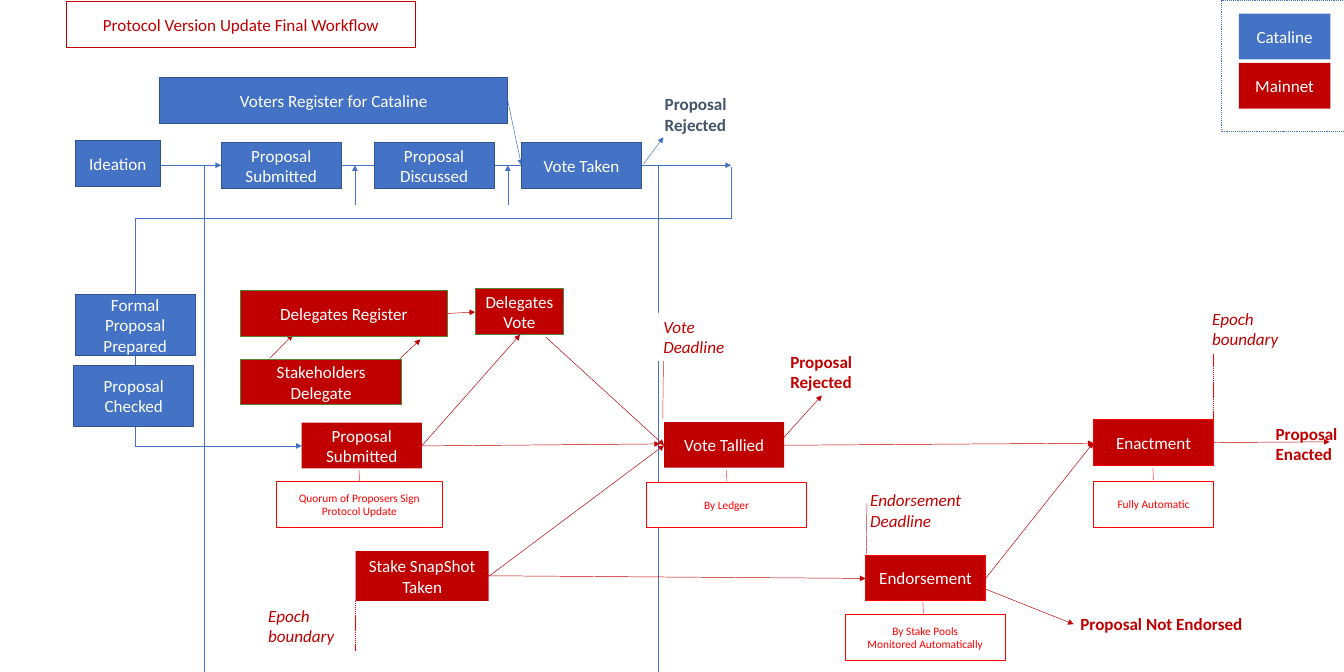
import lxml.etree
import pptx
import pptx.dml.color
import pptx.enum.dml
import pptx.enum.shapes
import pptx.enum.text
import pptx.oxml.ns
import pptx.util

Inches = pptx.util.Inches
Pt = pptx.util.Pt
RGBColor = pptx.dml.color.RGBColor
Align = pptx.enum.text.PP_ALIGN
Anchor = pptx.enum.text.MSO_ANCHOR
AutoSize = pptx.enum.text.MSO_AUTO_SIZE
Dash = pptx.enum.dml.MSO_LINE
RECTANGLE = pptx.enum.shapes.MSO_SHAPE.RECTANGLE
STRAIGHT = pptx.enum.shapes.MSO_CONNECTOR.STRAIGHT

BLUE = RGBColor(0x44, 0x72, 0xC4)
NAVY = RGBColor(0x32, 0x54, 0x91)
SLATE = RGBColor(0x44, 0x54, 0x6A)
DARK_RED = RGBColor(0xC0, 0x00, 0x00)
RED = RGBColor(0xFF, 0x00, 0x00)
GREEN = RGBColor(0x54, 0x82, 0x35)
WHITE = RGBColor(0xFF, 0xFF, 0xFF)

BOX_HEIGHT = 0.67
STEP_WIDTH = 1.76
LABEL_HEIGHT = 0.71

deck = pptx.Presentation()
deck.slide_width = Inches(19.69)
deck.slide_height = Inches(9.84)
page = deck.slides.add_slide(deck.slide_layouts[5])


def write(shape, text, color, size=18, align=Align.CENTER, anchor=Anchor.MIDDLE,
          bold=False, italic=False, wrap=True):
    frame = shape.text_frame
    frame.word_wrap = wrap
    frame.auto_size = AutoSize.NONE
    frame.vertical_anchor = anchor
    para = frame.paragraphs[0]
    para.alignment = align
    for index, line in enumerate(text.split("\n")):
        if index:
            para.add_line_break()
        span = para.add_run()
        span.text = line
        span.font.name = "Calibri"
        span.font.size = Pt(size)
        span.font.bold = bold
        span.font.italic = italic
        span.font.color.rgb = color


def connect(start, end, color, arrow=False, dash=None):
    link = page.shapes.add_connector(
        STRAIGHT, Inches(start[0]), Inches(start[1]), Inches(end[0]), Inches(end[1]))
    link.line.color.rgb = color
    link.line.width = Pt(0.5)
    if dash:
        link.line.dash_style = dash
    if arrow:
        tail = lxml.etree.SubElement(link.line._ln, pptx.oxml.ns.qn("a:tailEnd"))
        tail.set("type", "triangle")
    lxml.etree.SubElement(link._element.spPr, pptx.oxml.ns.qn("a:effectLst"))


title = page.shapes.title
title.left, title.top = Inches(0.98), Inches(0.02)
title.width, title.height = Inches(5.1), Inches(BOX_HEIGHT)
title.fill.solid()
title.fill.fore_color.rgb = WHITE
title.line.color.rgb = DARK_RED
title.line.width = Pt(1)
write(title, "Protocol Version Update Final Workflow", DARK_RED)

blue_arrows = [
    ((1.17, 2.42), (10.71, 2.42)),
    ((2.99, 2.42), (3.24, 2.42)),
    ((7.44, 1.48), (7.64, 2.42)),
    ((5.2, 3), (5.2, 2.42)),
    ((7.44, 3), (7.44, 2.42)),
    ((9.43, 2.4), (9.72, 2.01)),
    ((1.98, 6.53), (4.42, 6.53)),
]
for start, end in blue_arrows:
    connect(start, end, BLUE, arrow=True)

return_route = [(10.71, 2.44), (10.71, 3.2), (1.98, 3.2), (1.98, 6.53)]
for start, end in zip(return_route, return_route[1:]):
    connect(start, end, BLUE)
for phase_x in (2.99, 9.64):
    connect((phase_x, 2.42), (phase_x, 9.84), BLUE)

deadline_labels = [
    ("Vote Deadline", 9.62, 4.58, 1.37),
    ("Epoch boundary", 17.66, 4.46, 1.37),
    ("Epoch boundary", 3.83, 8.81, 1.37),
    ("Endorsement Deadline", 12.65, 7.12, 1.61),
]
for text, left, top, width in deadline_labels:
    label = page.shapes.add_shape(
        RECTANGLE, Inches(left), Inches(top), Inches(width), Inches(LABEL_HEIGHT))
    label.shadow.inherit = False
    label.fill.solid()
    label.fill.fore_color.rgb = WHITE
    label.line.fill.background()
    write(label, text, DARK_RED, align=Align.LEFT, anchor=Anchor.TOP, italic=True)

red_arrows = [
    ((6.17, 6.53), (9.67, 6.5)),
    ((11.48, 6.41), (12.04, 5.79)),
    ((11.48, 6.52), (16.02, 6.49)),
    ((17.78, 6.48), (19.48, 6.47)),
    ((14.44, 8.47), (16.02, 6.48)),
    ((7.16, 8.44), (9.73, 6.52)),
    ((3.95, 5.25), (4.29, 4.9)),
    ((5.82, 5.29), (6.16, 4.97)),
    ((8, 4.94), (9.73, 6.52)),
    ((6.56, 4.59), (6.96, 4.57)),
    ((6.17, 6.54), (7.62, 4.9)),
    ((14.02, 8.46), (15.73, 9.14)),
    ((7.03, 8.43), (12.68, 8.47)),
]
for start, end in red_arrows:
    connect(start, end, DARK_RED, arrow=True)

dashed_links = [
    ((5.26, 6.88), (5.27, 7.05), RED),
    ((10.64, 6.89), (10.65, 7.05), RED),
    ((16.89, 6.86), (16.9, 7.03), RED),
    ((13.52, 8.81), (13.53, 8.98), RED),
    ((17.77, 5.19), (17.77, 6.48), RED),
    ((5.21, 8.8), (5.21, 9.53), RED),
    ((9.72, 5.29), (9.71, 6.13), DARK_RED),
    ((12.7, 7.37), (12.69, 8.21), DARK_RED),
]
for start, end, color in dashed_links:
    connect(start, end, color, dash=Dash.SQUARE_DOT)

box_groups = [
    (BLUE, NAVY, WHITE, 18, [
        ("Voters Register for Cataline", 2.34, 1.14, 5.1, BOX_HEIGHT),
        ("Ideation", 1.1, 2.06, 1.25, BOX_HEIGHT),
        ("Proposal Submitted", 3.24, 2.09, STEP_WIDTH, BOX_HEIGHT),
        ("Proposal Discussed", 5.48, 2.09, STEP_WIDTH, BOX_HEIGHT),
        ("Vote Taken", 7.64, 2.09, STEP_WIDTH, BOX_HEIGHT),
        ("Formal\nProposal\nPrepared", 1.1, 4.31, STEP_WIDTH, 0.89),
        ("Proposal\nChecked", 1.08, 5.35, STEP_WIDTH, 0.89),
    ]),
    (BLUE, None, WHITE, 18, [("Cataline", 18.15, 0.2, 1.34, BOX_HEIGHT)]),
    (DARK_RED, None, WHITE, 18, [
        ("Mainnet", 18.15, 0.92, 1.34, BOX_HEIGHT),
        ("Proposal Submitted", 4.42, 6.19, STEP_WIDTH, BOX_HEIGHT),
        ("Vote Tallied", 9.73, 6.18, STEP_WIDTH, BOX_HEIGHT),
        ("Stake SnapShot\nTaken", 5.21, 8.07, 1.95, 0.73),
    ]),
    (DARK_RED, RED, WHITE, 18, [
        ("Endorsement", 12.68, 8.13, STEP_WIDTH, BOX_HEIGHT),
        ("Enactment", 16.02, 6.15, STEP_WIDTH, BOX_HEIGHT),
    ]),
    (DARK_RED, GREEN, WHITE, 18, [
        ("Stakeholders Delegate", 3.53, 5.26, 2.35, BOX_HEIGHT),
        ("Delegates Register", 3.52, 4.26, 3.04, BOX_HEIGHT),
        ("Delegates Vote", 6.96, 4.23, 1.3, BOX_HEIGHT),
    ]),
    (WHITE, RED, RED, 12, [
        ("Quorum of Proposers Sign\nProtocol Update", 4.05, 7.05, 2.43, BOX_HEIGHT),
        ("By Ledger", 9.47, 7.06, 2.35, BOX_HEIGHT),
        ("Fully Automatic", 16.02, 7.05, STEP_WIDTH, BOX_HEIGHT),
        ("By Stake Pools\nMonitored Automatically", 12.38, 9, 2.35, BOX_HEIGHT),
    ]),
]
for fill, outline, ink, size, boxes in box_groups:
    for text, left, top, width, height in boxes:
        box = page.shapes.add_shape(
            RECTANGLE, Inches(left), Inches(top), Inches(width), Inches(height))
        box.shadow.inherit = False
        box.fill.solid()
        box.fill.fore_color.rgb = fill
        if outline:
            box.line.color.rgb = outline
            box.line.width = Pt(1)
        else:
            box.line.fill.background()
        write(box, text, ink, size)

legend = page.shapes.add_shape(RECTANGLE, Inches(17.9), 0, Inches(1.79), Inches(1.92))
legend.shadow.inherit = False
legend.fill.background()
legend.line.color.rgb = BLUE
legend.line.width = Pt(1)
legend.line.dash_style = Dash.ROUND_DOT

outcomes = [
    ("Proposal\nRejected", 9.64, 1.32, 1.11, LABEL_HEIGHT, SLATE),
    ("Proposal\nRejected", 11.48, 5.09, 1.11, LABEL_HEIGHT, DARK_RED),
    ("Proposal\nEnacted", 18.59, 6.15, 1.11, LABEL_HEIGHT, DARK_RED),
    ("Proposal Not Endorsed", 15.73, 8.94, 3.06, 0.4, DARK_RED),
]
for text, left, top, width, height, color in outcomes:
    outcome = page.shapes.add_textbox(
        Inches(left), Inches(top), Inches(width), Inches(height))
    write(outcome, text, color, align=Align.LEFT, anchor=Anchor.TOP, bold=True, wrap=False)

deck.save("out.pptx")
